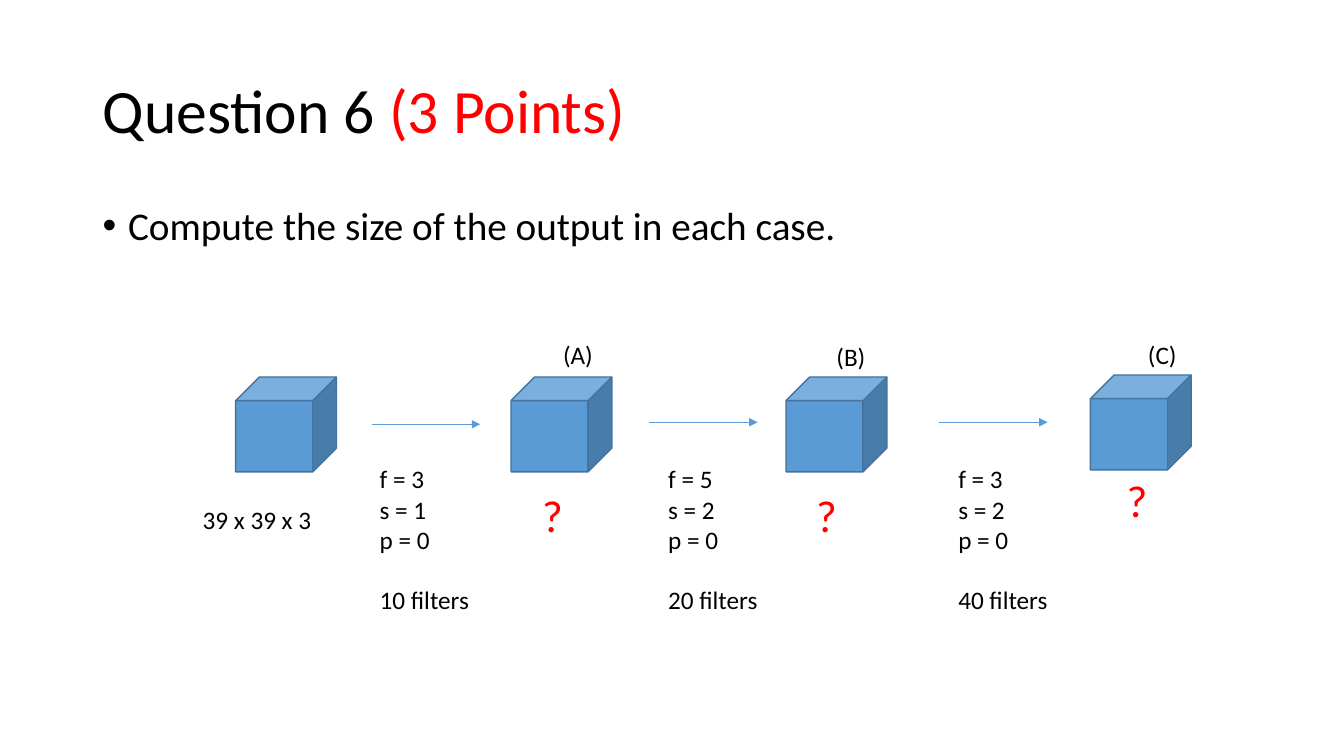
from pptx import Presentation
from pptx import util as u
from pptx.dml.color import RGBColor
from pptx.enum import shapes, text
from pptx.oxml.ns import qn
from lxml import etree

BLACK = RGBColor(0x00, 0x00, 0x00)
RED = RGBColor(0xFF, 0x00, 0x00)
BLUE = RGBColor(0x5B, 0x9B, 0xD5)
EDGE = RGBColor(0x43, 0x73, 0x9E)
FONT = "Calibri"

deck = Presentation()
deck.slide_width, deck.slide_height = u.Cm(33.87), u.Cm(19.05)
slide = deck.slides.add_slide(deck.slide_layouts[5])


def style(run, size, color):
    run.font.name = FONT
    run.font.size = u.Pt(size)
    run.font.color.rgb = color


def add_label(words, left, top, width, height, size=18, color=BLACK):
    label = slide.shapes.add_textbox(u.Cm(left), u.Cm(top), u.Cm(width), u.Cm(height))
    label.text_frame.text = words
    label.text_frame.word_wrap = False
    for line in label.text_frame.paragraphs:
        for run in line.runs:
            style(run, size, color)
    return label.text_frame


heading = slide.shapes.title
heading.left, heading.top = u.Cm(2.34), u.Cm(1.02)
heading.width, heading.height = u.Cm(29.21), u.Cm(3.68)
heading.text_frame.auto_size = text.MSO_AUTO_SIZE.NONE
heading.text_frame.vertical_anchor = text.MSO_ANCHOR.MIDDLE
heading_line = heading.text_frame.paragraphs[0]
heading_line.alignment = text.PP_ALIGN.LEFT
heading_line.line_spacing = 0.9
for words, color in (("Question 6 ", BLACK), ("(3 Points)", RED)):
    run = heading_line.add_run()
    run.text = words
    style(run, 44, color)

task = add_label("Compute the size of the output in each case.", 2.34, 5.08, 29.21, 12.09, 28)
task.word_wrap = True
task_line = task.paragraphs[0]
task_line.line_spacing = 0.9
task_line.space_before = u.Pt(10)
bullet_props = task_line._p.get_or_add_pPr()
bullet_props.set("marL", str(u.Cm(0.64)))
bullet_props.set("indent", str(-u.Cm(0.64)))
etree.SubElement(bullet_props, qn("a:buFont")).set("typeface", "Arial")
etree.SubElement(bullet_props, qn("a:buChar")).set("char", "•")

for left, top in ((5.94, 9.5), (12.88, 9.5), (19.81, 9.5), (27.48, 9.45)):
    volume = slide.shapes.add_shape(
        shapes.MSO_SHAPE.CUBE, u.Cm(left), u.Cm(top), u.Cm(2.54), u.Cm(2.39))
    volume.shadow.inherit = False
    volume.fill.solid()
    volume.fill.fore_color.rgb = BLUE
    volume.line.color.rgb = EDGE
    volume.line.width = u.Pt(1)

for left, y in ((9.37, 10.69), (16.36, 10.64), (23.67, 10.64)):
    arrow = slide.shapes.add_connector(
        shapes.MSO_CONNECTOR.STRAIGHT, u.Cm(left), u.Cm(y), u.Cm(left + 2.73), u.Cm(y))
    arrow.line.color.rgb = BLUE
    arrow.line.width = u.Pt(0.5)
    etree.SubElement(arrow.line._get_or_add_ln(), qn("a:tailEnd")).set("type", "triangle")
    etree.SubElement(arrow._element.spPr, qn("a:effectLst"))

add_label("39 x 39 x 3", 4.86, 12.58, 3.28, 1.02)

for left, f, s, filters in ((9.32, 3, 1, 10), (16.59, 5, 2, 20), (23.9, 3, 2, 40)):
    layer = add_label(f"f = {f}\ns = {s}\np = 0\n{filters} filters", left, 11.56, 2.79, 4.11)
    layer.paragraphs[-1].space_before = u.Pt(21.5)

for left, top in ((13.41, 12.17), (20.32, 12.17), (28.14, 11.79)):
    add_label("?", left, top, 1.04, 1.63, 32, RED)

for case, left, top in (("A", 13.94, 8.43), ("B", 20.83, 8.48), ("C", 28.68, 8.43)):
    add_label(f"({case})", left, top, 1.35, 1.02)

deck.save("out.pptx")
